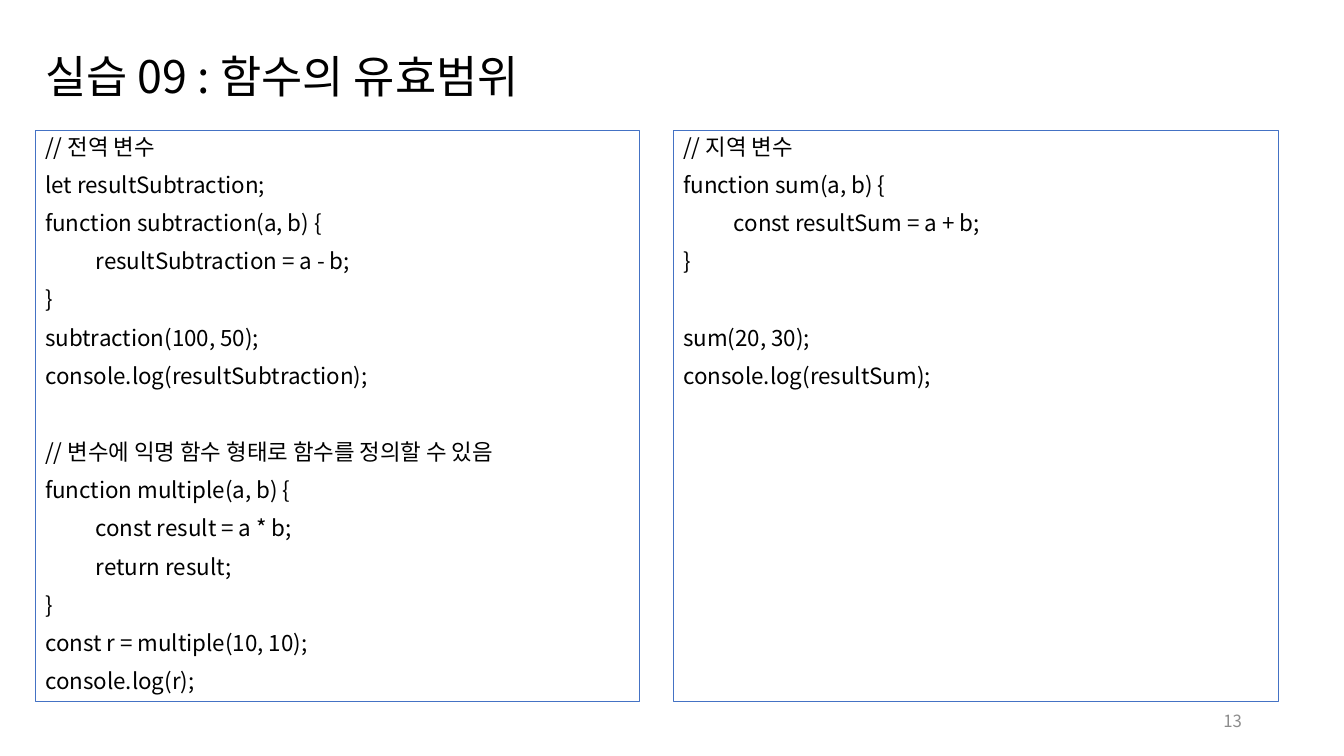
from dataclasses import dataclass

from lxml.etree import SubElement
from pptx import Presentation
from pptx.dml.color import RGBColor as RGB
from pptx.enum.shapes import MSO_SHAPE as Shape
from pptx.enum.text import MSO_ANCHOR as Anchor, PP_ALIGN as Align
from pptx.oxml.ns import qn
from pptx.util import Cm, Pt


@dataclass(frozen=True)
class Theme:
    """Colours, font and type sizes of the slide."""
    font: str = "Noto Sans CJK KR"
    ink: RGB = RGB(0x00, 0x00, 0x00)
    border: RGB = RGB(0x44, 0x72, 0xC4)
    muted: RGB = RGB(0x8C, 0x8C, 0x8C)
    title: Pt = Pt(32)
    code: Pt = Pt(16)
    number: Pt = Pt(12)
    line_gap: Pt = Pt(10)
    block_gap: Pt = Pt(37.25)


THEME = Theme()

GLOBAL_CODE = [
    ["// 전역 변수",
     "let resultSubtraction;",
     "function subtraction(a, b) {",
     "\tresultSubtraction = a - b;",
     "}",
     "subtraction(100, 50);",
     "console.log(resultSubtraction);"],
    ["// 변수에 익명 함수 형태로 함수를 정의할 수 있음",
     "function multiple(a, b) {",
     "\tconst result = a * b;",
     "\treturn result;",
     "}",
     "const r = multiple(10, 10);",
     "console.log(r);"],
]
LOCAL_CODE = [
    ["// 지역 변수",
     "function sum(a, b) {",
     "\tconst resultSum = a + b;",
     "}"],
    ["sum(20, 30);",
     "console.log(resultSum);"],
]


def add_text(p, text, size, color):
    """Add one styled run to a paragraph."""
    r = p.add_run()
    r.text = text
    r.font.size = size
    r.font.name = THEME.font
    r.font.color.rgb = color
    SubElement(r.font._element, qn("a:ea"), typeface=THEME.font)


def add_label(s, box, text, size, color, align=Align.LEFT, spacing=1.0):
    """Place a single vertically centred line in the box."""
    tf = s.shapes.add_textbox(*box).text_frame
    tf.word_wrap = True
    tf.vertical_anchor = Anchor.MIDDLE
    p = tf.paragraphs[0]
    p.alignment = align
    p.line_spacing = spacing
    add_text(p, text, size, color)


def add_code_panel(s, box, blocks):
    """Place a bordered panel of code blocks in the box."""
    sp = s.shapes.add_shape(Shape.RECTANGLE, *box)
    sp.shadow.inherit = False
    sp.fill.background()
    sp.line.color.rgb = THEME.border
    sp.line.width = Pt(0.75)
    tf = sp.text_frame
    tf.word_wrap = True
    tf.vertical_anchor = Anchor.TOP
    for b, block in enumerate(blocks):
        for i, line in enumerate(block):
            p = tf.add_paragraph() if b or i else tf.paragraphs[0]
            p.alignment = Align.LEFT
            p.line_spacing = 0.9
            p.space_before = THEME.block_gap if b and not i else THEME.line_gap
            add_text(p, line, THEME.code, THEME.ink)


def main():
    """Build the slide and save it."""
    prs = Presentation()
    prs.slide_width, prs.slide_height = Cm(33.87), Cm(19.05)
    s = prs.slides.add_slide(prs.slide_layouts[6])
    left, top, width, height, pitch = 0.89, 3.3, 15.24, 14.38, 16.08
    add_label(s, (Cm(left), Cm(1.02), Cm(32.16), Cm(1.96)),
              "실습 09 : 함수의 유효범위", THEME.title, THEME.ink, spacing=0.9)
    for col, blocks in enumerate((GLOBAL_CODE, LOCAL_CODE)):
        box = (Cm(left + col * pitch), Cm(top), Cm(width), Cm(height))
        add_code_panel(s, box, blocks)
    add_label(s, (Cm(23.93), Cm(17.65), Cm(7.62), Cm(1.02)),
              "13", THEME.number, THEME.muted, Align.RIGHT)
    prs.save("out.pptx")


if __name__ == "__main__":
    main()
